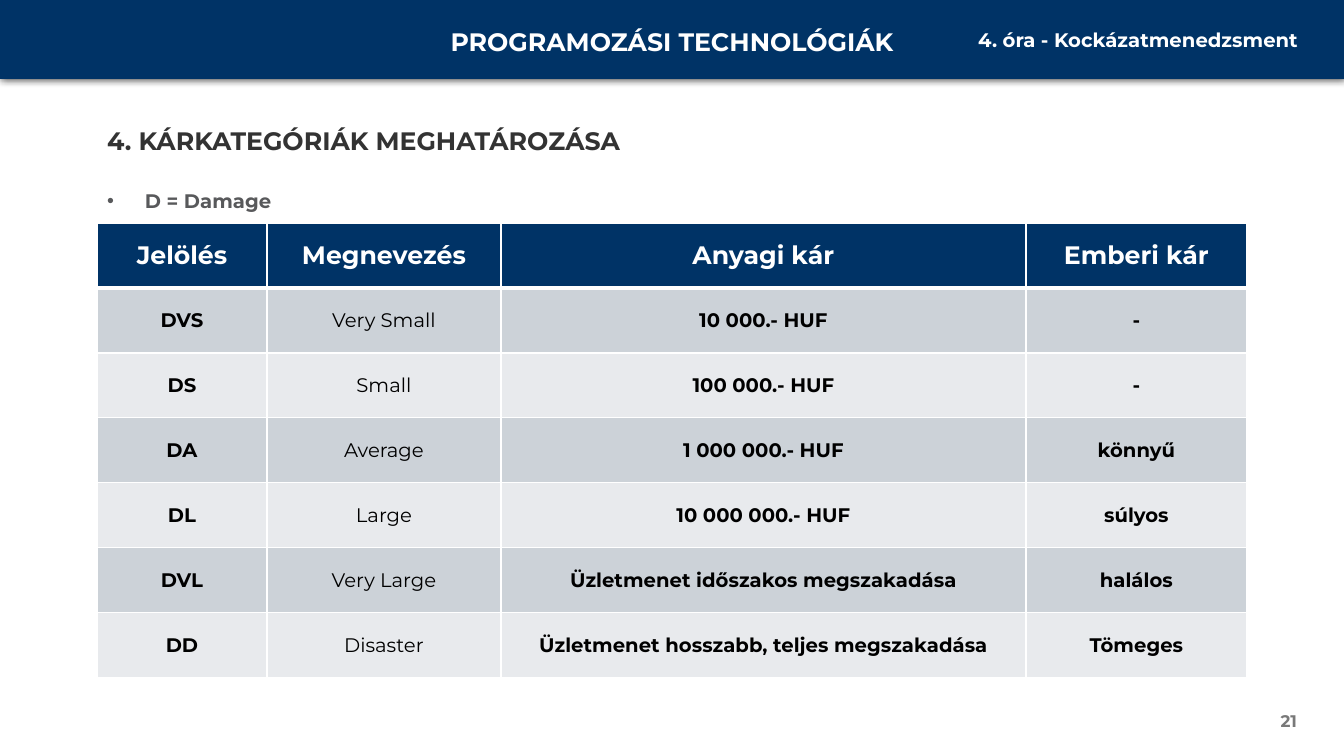
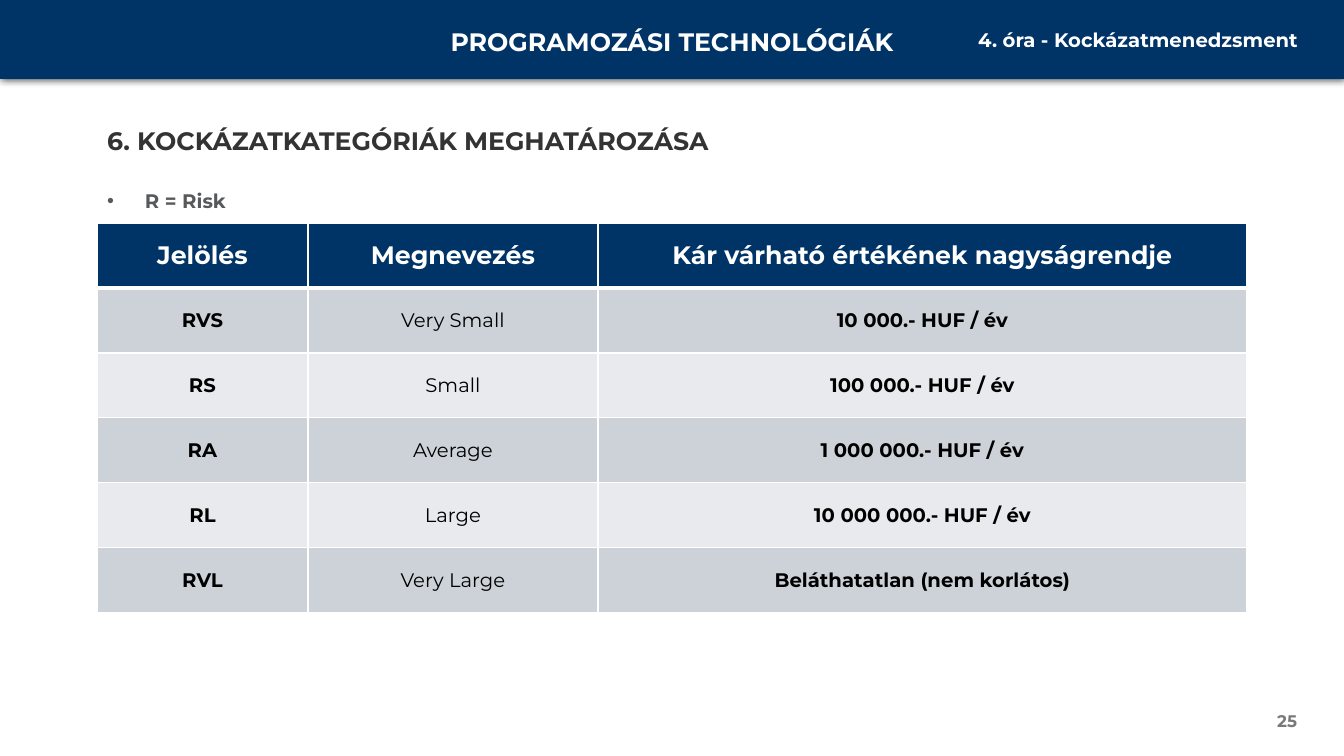
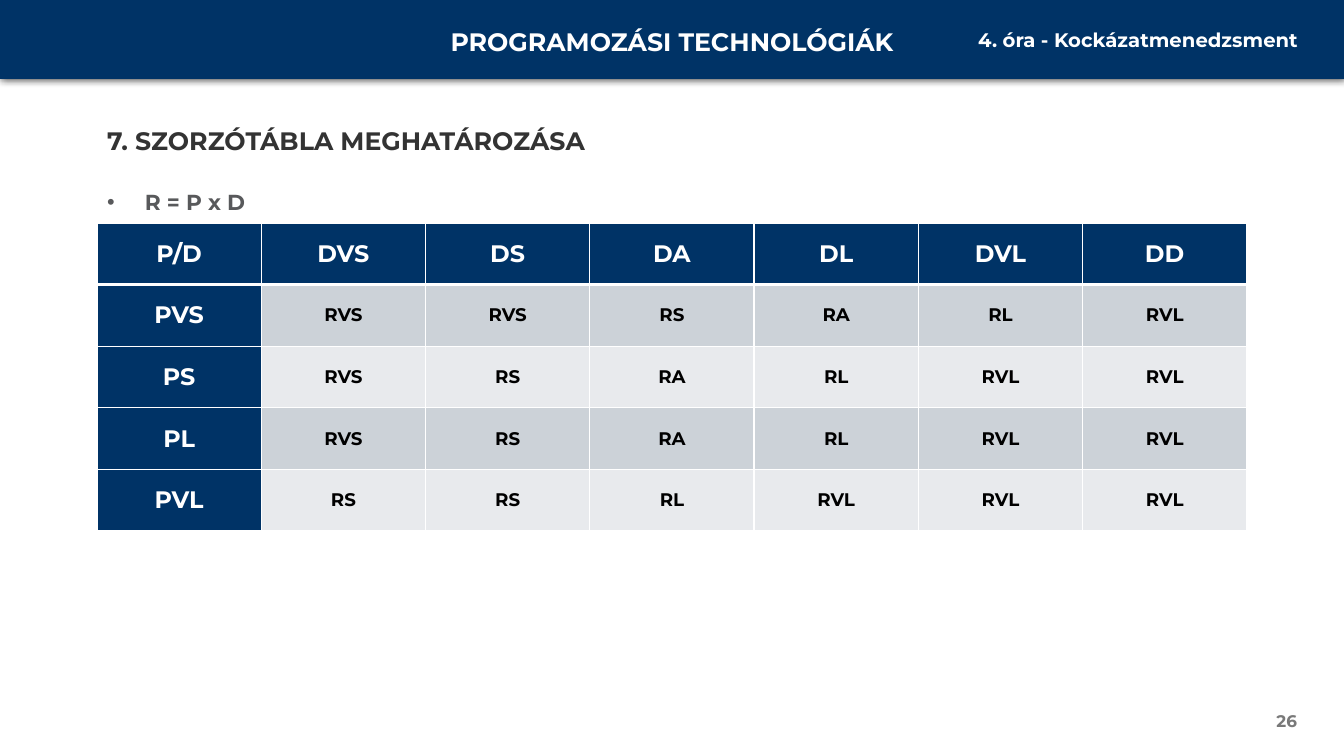
"""Build three risk management slides, each with a heading and a table."""
from lxml.etree import SubElement
from pptx import Presentation
from pptx.dml.color import RGBColor
from pptx.enum.shapes import MSO_SHAPE
from pptx.enum.text import MSO_ANCHOR, MSO_AUTO_SIZE, PP_ALIGN
from pptx.oxml import parse_xml
from pptx.oxml.ns import nsdecls, qn
from pptx.util import Pt

PX = 12192000 / 1344
INK = {
    "navy": "003366",
    "white": "FFFFFF",
    "black": "000000",
    "head": "333333",
    "note": "58595B",
    "page": "797979",
    "dark": "CCD2D8",
    "pale": "E8EAED",
}
LEFT, CENTER, RIGHT = PP_ALIGN.LEFT, PP_ALIGN.CENTER, PP_ALIGN.RIGHT
TOP, MIDDLE = MSO_ANCHOR.TOP, MSO_ANCHOR.MIDDLE


def place(shape, left, top, width, height):
    shape.left, shape.top = round(left * PX), round(top * PX)
    shape.width, shape.height = round(width * PX), round(height * PX)


def write(frame, text, size, ink, align=LEFT, bold=True):
    frame.text = text
    frame.word_wrap = True
    para = frame.paragraphs[0]
    para.alignment = align
    para.space_before = Pt(0)
    font = para.runs[0].font
    font.name, font.size, font.bold = "Montserrat", Pt(size), bold
    font.color.rgb = RGBColor.from_string(INK[ink])


pages = [
    {
        "num": "21",
        "title": "4. KÁRKATEGÓRIÁK MEGHATÁROZÁSA",
        "note": "D = Damage", "size": 14,
        "cols": [170, 234, 525, 221], "high": 455,
        "head": 18, "cell": 14, "side": False,
        "rows": [
            ["Jelölés", "Megnevezés", "Anyagi kár", "Emberi kár"],
            ["DVS", "Very Small", "10 000.- HUF", "-"],
            ["DS", "Small", "100 000.- HUF", "-"],
            ["DA", "Average", "1 000 000.- HUF", "könnyű"],
            ["DL", "Large", "10 000 000.- HUF", "súlyos"],
            ["DVL", "Very Large", "Üzletmenet időszakos megszakadása", "halálos"],
            ["DD", "Disaster", "Üzletmenet hosszabb, teljes megszakadása", "Tömeges"],
        ],
    },
    {
        "num": "25",
        "title": "6. KOCKÁZATKATEGÓRIÁK MEGHATÁROZÁSA",
        "note": "R = Risk", "size": 14,
        "cols": [211, 290, 649], "high": 390,
        "head": 18, "cell": 14, "side": False,
        "rows": [
            ["Jelölés", "Megnevezés", "Kár várható értékének nagyságrendje"],
            ["RVS", "Very Small", "10 000.- HUF / év"],
            ["RS", "Small", "100 000.- HUF / év"],
            ["RA", "Average", "1 000 000.- HUF / év"],
            ["RL", "Large", "10 000 000.- HUF / év"],
            ["RVL", "Very Large", "Beláthatatlan (nem korlátos)"],
        ],
    },
    {
        "num": "26",
        "title": "7. SZORZÓTÁBLA MEGHATÁROZÁSA",
        "note": "R = P x D", "size": 15.5,
        "cols": [1150 / 7] * 7, "high": 308,
        "head": 17, "cell": 13, "side": True,
        "rows": [
            ["P/D", "DVS", "DS", "DA", "DL", "DVL", "DD"],
            ["PVS", "RVS", "RVS", "RS", "RA", "RL", "RVL"],
            ["PS", "RVS", "RS", "RA", "RL", "RVL", "RVL"],
            ["PL", "RVS", "RS", "RA", "RL", "RVL", "RVL"],
            ["PVL", "RS", "RS", "RL", "RVL", "RVL", "RVL"],
        ],
    },
]

deck = Presentation()
deck.slide_width, deck.slide_height = round(1344 * PX), round(756 * PX)

for page in pages:
    slide = deck.slides.add_slide(deck.slide_layouts[1])
    shapes = slide.shapes

    band = shapes.add_shape(MSO_SHAPE.RECTANGLE, 0, 0, 0, 0)
    place(band, 0, 0, 1344, 79)
    band.fill.solid()
    band.fill.fore_color.rgb = RGBColor.from_string(INK["navy"])
    band.line.fill.background()
    band._element.spPr.append(parse_xml(
        f'<a:effectLst {nsdecls("a")}><a:outerShdw blurRad="76200" dist="0" '
        f'dir="5400000"><a:srgbClr val="{INK["black"]}"><a:alpha val="80000"/>'
        '</a:srgbClr></a:outerShdw></a:effectLst>'))

    labels = [
        ("PROGRAMOZÁSI TECHNOLÓGIÁK", 18, "white", CENTER, TOP, (409, 21, 526, 40)),
        ("4. óra - Kockázatmenedzsment", 14, "white", RIGHT, TOP, (944, 23, 364, 34)),
        (page["num"], 12, "page", RIGHT, MIDDLE, (1005, 701, 302, 40)),
    ]
    for text, size, ink, align, anchor, area in labels:
        label = shapes.add_textbox(0, 0, 0, 0)
        place(label, *area)
        write(label.text_frame, text, size, ink, align)
        label.text_frame.vertical_anchor = anchor

    title, note = shapes.title, slide.placeholders[1]
    place(title, 97, 120, 839, 40)
    place(note, 97, 184, 839, 517)
    props = note.text_frame.paragraphs[0]._p.get_or_add_pPr()
    props.set("marL", "0")
    props.set("indent", "0")
    SubElement(props, qn("a:buNone"))
    write(title.text_frame, page["title"], 18, "head")
    write(note.text_frame, page["note"], page["size"], "note")
    for holder in (title, note):
        holder.text_frame.vertical_anchor = TOP
        holder.text_frame.auto_size = MSO_AUTO_SIZE.NONE

    rows, cols = page["rows"], page["cols"]
    frame = shapes.add_table(len(rows), len(cols), 0, 0, 0, 0)
    place(frame, 97, 223, sum(cols), page["high"])
    grid = frame.table
    for col, width in zip(grid.columns, cols):
        col.width = round(width * PX)
    for r, row in enumerate(rows):
        grid.rows[r].height = round(page["high"] / len(rows) * PX)
        for c, text in enumerate(row):
            cell = grid.cell(r, c)
            head = r == 0 or (page["side"] and c == 0)
            size = page["head"] if head else page["cell"]
            bold = head or page["side"] or c != 1
            write(cell.text_frame, text, size, "white" if head else "black", CENTER, bold)
            cell.vertical_anchor = MIDDLE
            fill = "navy" if head else "dark" if r % 2 else "pale"
            cell.fill.solid()
            cell.fill.fore_color.rgb = RGBColor.from_string(INK[fill])
            for spot, side in enumerate("LRTB"):
                wide = Pt(3 if (side, r) in (("B", 0), ("T", 1)) else 1)
                cell._tc.tcPr.insert(spot, parse_xml(
                    f'<a:ln{side} {nsdecls("a")} w="{wide}"><a:solidFill>'
                    f'<a:srgbClr val="{INK["white"]}"/></a:solidFill></a:ln{side}>'))

deck.save("out.pptx")
